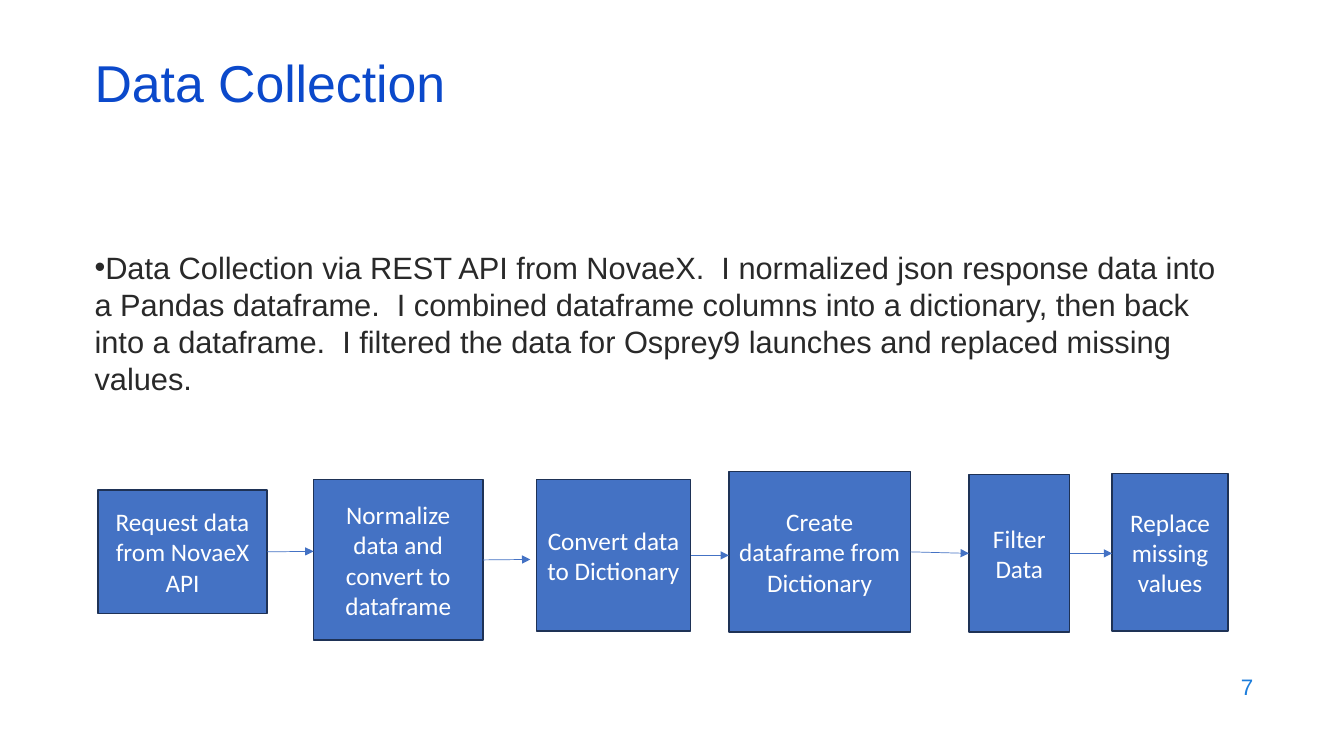
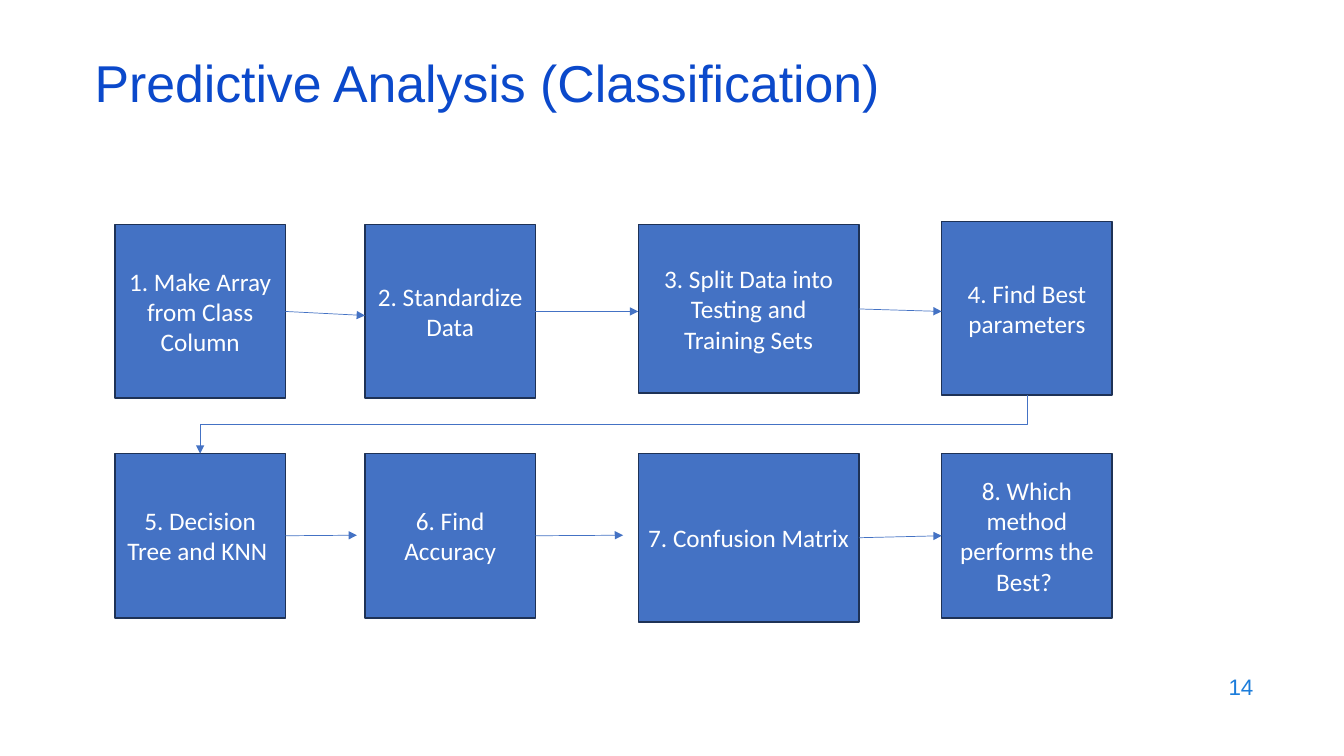
"""Builds two flow-diagram slides: data collection and predictive analysis."""
import lxml.etree
import pptx
import pptx.dml.color
import pptx.enum.shapes
import pptx.enum.text
import pptx.oxml.ns
import pptx.util

Inches = pptx.util.Inches
Pt = pptx.util.Pt
RGBColor = pptx.dml.color.RGBColor
qn = pptx.oxml.ns.qn
ALIGN = pptx.enum.text.PP_ALIGN
ANCHOR = pptx.enum.text.MSO_ANCHOR
CONNECTOR = pptx.enum.shapes.MSO_CONNECTOR

TITLE_BLUE = RGBColor(0x0B, 0x49, 0xCB)
NUMBER_BLUE = RGBColor(0x1C, 0x7D, 0xDB)
BODY_GREY = RGBColor(0x29, 0x29, 0x29)
STEP_BLUE = RGBColor(0x44, 0x72, 0xC4)
STEP_EDGE = RGBColor(0x1E, 0x32, 0x56)
WHITE = RGBColor(0xFF, 0xFF, 0xFF)

TITLE_AREA = (0.84, 0.59, 11.5, 0.6)
BODY_AREA = (0.84, 2.42, 11.5, 4.17)
NUMBER_AREA = (9.53, 6.59, 3, 0.44)

COLLECTION_SUMMARY = (
    "Data Collection via REST API from NovaeX.  I normalized json response data "
    "into a Pandas dataframe.  I combined dataframe columns into a dictionary, "
    "then back into a dataframe.  I filtered the data for Osprey9 launches and "
    "replaced missing values."
)

COLLECTION_STEPS = [
    ("Request data from NovaeX API", (0.97, 4.86, 1.68, 1.23), (3.11, 5.47)),
    ("Normalize data and convert to dataframe", (3.11, 4.76, 1.68, 1.59), (5.26, 5.55)),
    ("Convert data to Dictionary", (5.32, 4.76, 1.53, 1.5), (7.23, 5.51)),
    ("Create dataframe from Dictionary", (7.23, 4.68, 1.8, 1.59), None),
    ("Filter Data", (9.61, 4.71, 1, 1.56), (11.03, 5.49)),
    ("Replace missing values", (11.03, 4.7, 1.15, 1.56), None),
]

COLUMNS = [(1.14, 1.69), (3.62, 1.69), (6.33, 2.19), (9.34, 1.69)]
ANALYSIS_ROWS = [
    [
        ("1. Make Array from Class Column", 2.23, 1.72, (3.62, 3.13)),
        ("2. Standardize Data", 2.23, 1.72, (6.33, 3.09)),
        ("3. Split Data into Testing and Training Sets", 2.23, 1.67, (9.34, 3.09)),
        ("4. Find Best parameters", 2.2, 1.72, None),
    ],
    [
        ("5. Decision Tree and KNN ", 4.5, 1.63, (3.54, 5.31)),
        ("6. Find Accuracy", 4.5, 1.63, (6.18, 5.31)),
        ("7. Confusion Matrix", 4.5, 1.67, None),
        ("8. Which method performs the Best? ", 4.5, 1.63, None),
    ],
]


def inches(values):
    return [Inches(value) for value in values]


def write(frame, text, size, font, color, align, anchor):
    frame.word_wrap = True
    frame.vertical_anchor = anchor
    frame.text = text
    paragraph = frame.paragraphs[0]
    paragraph.alignment = align
    run_font = paragraph.runs[0].font
    run_font.size, run_font.name = Pt(size), font
    run_font.color.rgb = color
    return paragraph


def add_text(slide, area, text, size, color, align=ALIGN.LEFT, anchor=ANCHOR.MIDDLE):
    frame = slide.shapes.add_textbox(*inches(area)).text_frame
    return write(frame, text, size, "Arial", color, align, anchor)


def add_slide(deck, title, number):
    slide = deck.slides.add_slide(deck.slide_layouts[6])
    add_text(slide, NUMBER_AREA, number, 16, NUMBER_BLUE, ALIGN.RIGHT)
    add_text(slide, TITLE_AREA, title, 37, TITLE_BLUE).line_spacing = 0.7
    return slide


def add_summary(slide, text):
    paragraph = add_text(slide, BODY_AREA, text, 22, BODY_GREY, anchor=ANCHOR.TOP)
    properties = paragraph._p.get_or_add_pPr()
    properties.set("marL", "0")
    properties.set("indent", "0")
    lxml.etree.SubElement(properties, qn("a:buFont")).set("typeface", "Arial")
    lxml.etree.SubElement(properties, qn("a:buChar")).set("char", "•")


def add_step(slide, text, area):
    step = slide.shapes.add_shape(
        pptx.enum.shapes.MSO_SHAPE.RECTANGLE, *inches(area))
    step.shadow.inherit = False
    step.fill.solid()
    step.fill.fore_color.rgb = STEP_BLUE
    step.line.color.rgb = STEP_EDGE
    step.line.width = Pt(1)
    write(step.text_frame, text, 18, "Calibri", WHITE, ALIGN.CENTER, ANCHOR.MIDDLE)
    return step


def add_arrow(slide, kind, start, end):
    arrow = slide.shapes.add_connector(kind, *start, *end)
    arrow.line.color.rgb = STEP_BLUE
    arrow.line.width = Pt(0.5)
    outline = arrow.line._get_or_add_ln()
    lxml.etree.SubElement(outline, qn("a:tailEnd")).set("type", "triangle")
    lxml.etree.SubElement(arrow._element.spPr, qn("a:effectLst"))
    return arrow


def add_flow(slide, steps):
    boxes = [add_step(slide, text, area) for text, area, _ in steps]
    for source, target, (_, _, tip) in zip(boxes, boxes[1:], steps):
        start = (source.left + source.width, source.top + source.height // 2)
        end = inches(tip) if tip else (target.left, target.top + target.height // 2)
        arrow = add_arrow(slide, CONNECTOR.STRAIGHT, start, end)
        arrow.begin_connect(source, 3)
        if tip is None:
            arrow.end_connect(target, 1)
    return boxes


def add_row_return(slide, source, target):
    start_x = source.left + source.width // 2
    end_x = target.left + target.width // 2
    start_y, end_y = source.top + source.height, target.top
    drop, span = end_y - start_y, start_x - end_x
    left = (start_x + end_x - drop) // 2
    top = (start_y + end_y - span) // 2
    arrow = add_arrow(
        slide, CONNECTOR.ELBOW, (left, top), (left + drop, top + span))
    arrow._element.spPr.find(qn("a:xfrm")).set("rot", "5400000")


def main():
    deck = pptx.Presentation()
    deck.slide_width, deck.slide_height = Inches(13.33), Inches(7.5)

    collection = add_slide(deck, "Data Collection", "7")
    add_summary(collection, COLLECTION_SUMMARY)
    add_flow(collection, COLLECTION_STEPS)

    analysis = add_slide(deck, "Predictive Analysis (Classification)", "14")
    upper, lower = [
        add_flow(analysis, [
            (text, (left, top, width, height), tip)
            for (left, width), (text, top, height, tip) in zip(COLUMNS, row)
        ])
        for row in ANALYSIS_ROWS
    ]
    add_row_return(analysis, upper[-1], lower[0])
    deck.save("out.pptx")


if __name__ == "__main__":
    main()
